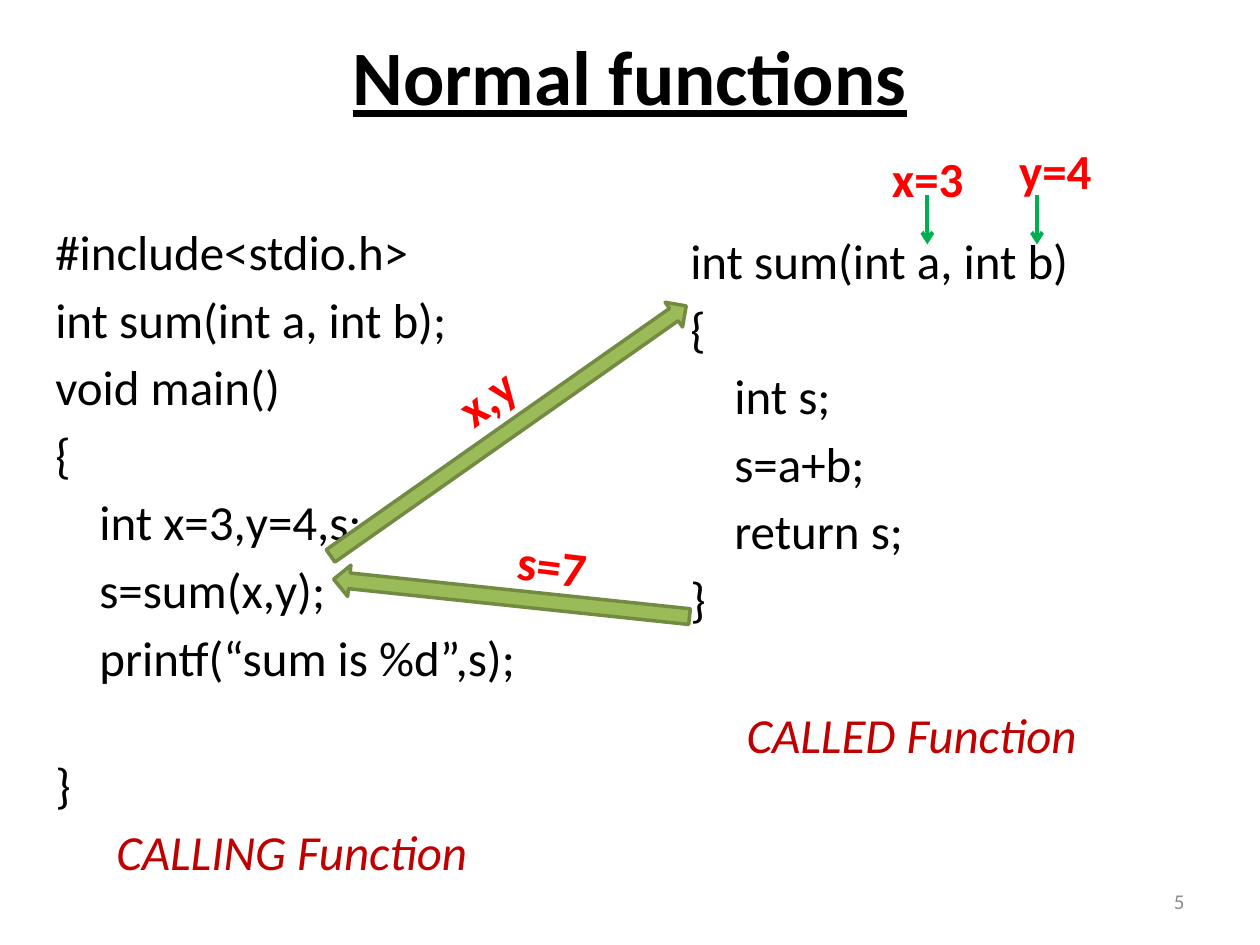
from lxml import etree
from pptx import Presentation
from pptx.dml.color import RGBColor
from pptx.enum import shapes, text
from pptx.oxml.ns import qn
from pptx.util import Inches, Pt

HUE = {"ink": "000000", "role": "C00000", "value": "FF0000", "fill": "9BBB59",
       "edge": "738A42", "pass": "00B050", "page": "8C8C8C"}
ALIGN = text.PP_ALIGN
GAP = 5        # points before each code line
STEP = 0.35    # indent of a function body

# Code columns: box, then lines of (text, indent level, extra points before)
CODE = [
    ((0.34, 1.71, 3.95, 4.95), "CALLING Function", 0, [
        ("#include<stdio.h>", 0, 0), ("int sum(int a, int b);", 0, 0),
        ("void main()", 0, 0), ("{", 0, 0), ("int x=3,y=4,s;", 1, 0),
        ("s=sum(x,y);", 1, 0), ("printf(“sum is %d”,s);", 1, 0), ("}", 0, 34)]),
    ((5.38, 1.78, 3.71, 4.95), "CALLED Function", 39, [
        ("int sum(int a, int b)", 0, 0), ("{", 0, 0), ("int s;", 1, 0),
        ("s=a+b;", 1, 0), ("return s;", 1, 0), ("}", 0, 0)]),
]
# Block arrows and value labels: box, rotation
BLOCKS = [((2.31, 3.3, 3.45, 0.24), 324.9), ((2.64, 4.62, 2.84, 0.25), 186)]
LABELS = [("x=3", (6.98, 1.13, 0.78, 0.57), 0), ("y=4", (7.99, 1.07, 0.78, 0.57), 0),
          ("x,y", (3.53, 2.86, 0.67, 0.57), 323.4), ("s=7", (4.01, 4.2, 0.75, 0.57), 7.1)]
PASS_X = (7.36, 8.23)
PASS_Y = (1.55, 1.94)


def rgb(name):
    return RGBColor.from_string(HUE[name])


def write(para, words, size=28, hue="ink", align=ALIGN.LEFT, before=0, level=0,
          bold=False, italic=False, under=False):
    para.alignment = align
    para.space_before = Pt(before)
    if level:
        para._p.get_or_add_pPr().set("marL", str(Inches(STEP * level)))
    run = para.add_run()
    run.text = words
    font = run.font
    font.name, font.size, font.color.rgb = "Calibri", Pt(size), rgb(hue)
    font.bold, font.italic, font.underline = bold, italic, under


def add_box(slide, box, wrap=True, turn=0):
    shape = slide.shapes.add_textbox(*map(Inches, box))
    shape.rotation = turn
    shape.text_frame.word_wrap = wrap
    return shape.text_frame


def main():
    deck = Presentation()
    deck.slide_width, deck.slide_height = Inches(10), Inches(7.5)
    slide = deck.slides.add_slide(deck.slide_layouts[5])

    # Title
    title = slide.shapes.title
    title.left, title.top, title.width, title.height = map(Inches, (0.5, -0.03, 9, 1.25))
    title.text_frame.vertical_anchor = text.MSO_ANCHOR.MIDDLE
    write(title.text_frame.paragraphs[0], "Normal functions", size=44,
          align=ALIGN.CENTER, bold=True, under=True)

    # Code columns with the role of each function below
    for box, role, extra, lines in CODE:
        frame = add_box(slide, box)
        for i, (words, level, more) in enumerate(lines):
            para = frame.add_paragraph() if i else frame.paragraphs[0]
            write(para, words, before=GAP + more, level=level)
        write(frame.add_paragraph(), role, hue="role", align=ALIGN.CENTER,
              before=GAP + extra, italic=True)

    # Block arrows for call and return
    for box, turn in BLOCKS:
        arrow = slide.shapes.add_shape(shapes.MSO_SHAPE.RIGHT_ARROW, *map(Inches, box))
        arrow.rotation = turn
        arrow.shadow.inherit = False
        arrow.fill.solid()
        arrow.fill.fore_color.rgb = rgb("fill")
        arrow.line.color.rgb, arrow.line.width = rgb("edge"), Pt(2)

    # Thin arrows from values to parameters
    for x in PASS_X:
        line = slide.shapes.add_connector(
            shapes.MSO_CONNECTOR.STRAIGHT, *map(Inches, (x, PASS_Y[0], x, PASS_Y[1])))
        line.line.color.rgb, line.line.width = rgb("pass"), Pt(2.25)
        etree.SubElement(line.line._get_or_add_ln(), qn("a:tailEnd"), type="arrow")
        etree.SubElement(line._element.spPr, qn("a:effectLst"))

    # Value labels
    for words, box, turn in LABELS:
        frame = add_box(slide, box, wrap=False, turn=turn)
        frame.auto_size = text.MSO_AUTO_SIZE.SHAPE_TO_FIT_TEXT
        write(frame.paragraphs[0], words, hue="value", bold=True)

    # Page number
    frame = add_box(slide, (7.17, 6.95, 2.33, 0.4))
    frame.vertical_anchor = text.MSO_ANCHOR.MIDDLE
    write(frame.paragraphs[0], "5", size=12, hue="page", align=ALIGN.RIGHT)

    deck.save("out.pptx")


if __name__ == "__main__":
    main()
